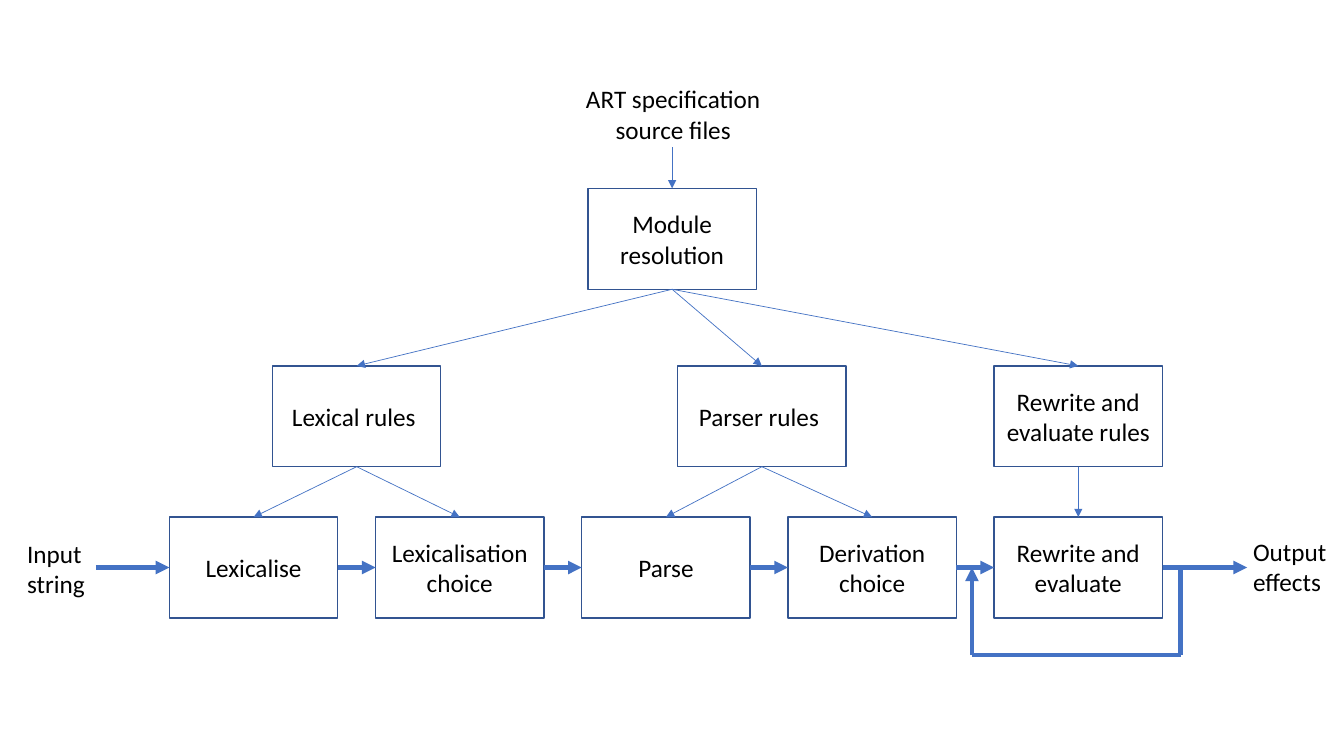
from lxml import etree
from pptx import Presentation
from pptx.dml.color import RGBColor
from pptx.enum.shapes import MSO_CONNECTOR, MSO_SHAPE
from pptx.enum.text import MSO_ANCHOR, PP_ALIGN
from pptx.oxml.ns import qn
from pptx.util import Inches, Pt

RECT = MSO_SHAPE.RECTANGLE
LINE = MSO_CONNECTOR.STRAIGHT
MIDDLE = MSO_ANCHOR.MIDDLE
CENTER, LEFT = PP_ALIGN.CENTER, PP_ALIGN.LEFT
TOP, WEST, BOTTOM, EAST = range(4)

COLORS = {"text": "000000", "fill": "FFFFFF", "edge": "325491", "flow": "4472C4"}
FONT = {"name": "Calibri", "size": Pt(18)}
THIN, THICK = 0.5, 3.25
WIDE, HIGH = 1.67, 1
PITCH = 2.045

STAGES = ["Lexicalise", "Lexicalisation choice", "Parse",
          "Derivation choice", "Rewrite and evaluate"]
RULES = [("Lexical rules ", 0.5, (0, 1)),
         ("Parser rules ", 2.465, (2, 3)),
         ("Rewrite and evaluate rules ", 4, (4,))]
ROOT_COL = 2.03


def color(key):
    """Return the named colour."""
    return RGBColor.from_string(COLORS[key])


def write(shape, lines, align, wrap=True):
    """Fill a shape with one paragraph per line."""
    frame = shape.text_frame
    frame.word_wrap = wrap
    frame.text = "\n".join(lines)
    for para in frame.paragraphs:
        para.alignment = align
        for key, value in FONT.items():
            setattr(para.font, key, value)
        para.font.color.rgb = color("text")


def label(slide, box, lines, align=LEFT, wrap=False):
    """Place free text in the given box."""
    shape = slide.shapes.add_textbox(*map(Inches, box))
    write(shape, lines, align, wrap)
    return shape


def node(slide, left, top, name):
    """Draw one outlined step of the process."""
    shape = slide.shapes.add_shape(RECT, *map(Inches, (left, top, WIDE, HIGH)))
    shape.shadow.inherit = False
    shape.fill.solid()
    shape.fill.fore_color.rgb = color("fill")
    shape.line.color.rgb = color("edge")
    shape.line.width = Pt(1)
    shape.text_frame.vertical_anchor = MIDDLE
    write(shape, [name], CENTER)
    return shape


def link(slide, start, end, width, head=True):
    """Draw a line between two points, with an arrowhead if wanted."""
    line = slide.shapes.add_connector(LINE, *map(Inches, (*start, *end)))
    line.line.color.rgb = color("flow")
    line.line.width = Pt(width)
    if head:
        etree.SubElement(line.line._get_or_add_ln(), qn("a:tailEnd"), type="triangle")
    etree.SubElement(line._element.spPr, qn("a:effectLst"))
    return line


def join(slide, first, out, last, into, width):
    """Glue an arrow to a side of each of two nodes."""
    line = link(slide, (0, 0), (1, 1), width)
    line.begin_connect(first, out)
    line.end_connect(last, into)


def chain(slide, left, top):
    """Draw the row of stages with its input, output and loop."""
    nodes = [node(slide, left + i * PITCH, top, name) for i, name in enumerate(STAGES)]
    for first, last in zip(nodes, nodes[1:]):
        join(slide, first, EAST, last, WEST, THICK)
    mid = top + HIGH / 2
    final = left + 4 * PITCH
    right = final + WIDE
    link(slide, (left - 0.73, mid), (left, mid), THICK)
    link(slide, (right, mid), (right + 0.84, mid), THICK)
    back, out, low = final - 0.22, right + 0.18, mid + 0.87
    link(slide, (back, low), (back, mid), THICK)
    link(slide, (back, low), (out, low), THICK, head=False)
    link(slide, (out, low), (out, mid), THICK, head=False)
    label(slide, (left - 1.51, mid - 0.34, 0.78, 0.71), ["Input", "string"])
    label(slide, (right + 0.8, mid - 0.36, 0.94, 0.71), ["Output", "effects"])
    return nodes


def tree(slide, left, top, stages):
    """Draw module resolution and the rules that feed the stages."""
    start = left + ROOT_COL * PITCH
    root = node(slide, start, top, "Module resolution")
    for name, col, feeds in RULES:
        rule = node(slide, left + col * PITCH, top + 1.76, name)
        join(slide, root, BOTTOM, rule, TOP, THIN)
        for i in feeds:
            join(slide, rule, BOTTOM, stages[i], TOP, THIN)
    mid = start + WIDE / 2
    link(slide, (mid, top - 0.41), (mid, top), THIN)
    label(slide, (mid - 1.02, top - 1.09, 2.06, 0.71),
          ["ART specification source files"], CENTER, True)


def main():
    """Build and save the slide."""
    deck = Presentation()
    deck.slide_width, deck.slide_height = Inches(13.33), Inches(7.5)
    slide = deck.slides.add_slide(deck.slide_layouts[6])
    stages = chain(slide, 1.68, 5.13)
    tree(slide, 1.68, 1.87, stages)
    deck.save("out.pptx")


if __name__ == "__main__":
    main()
